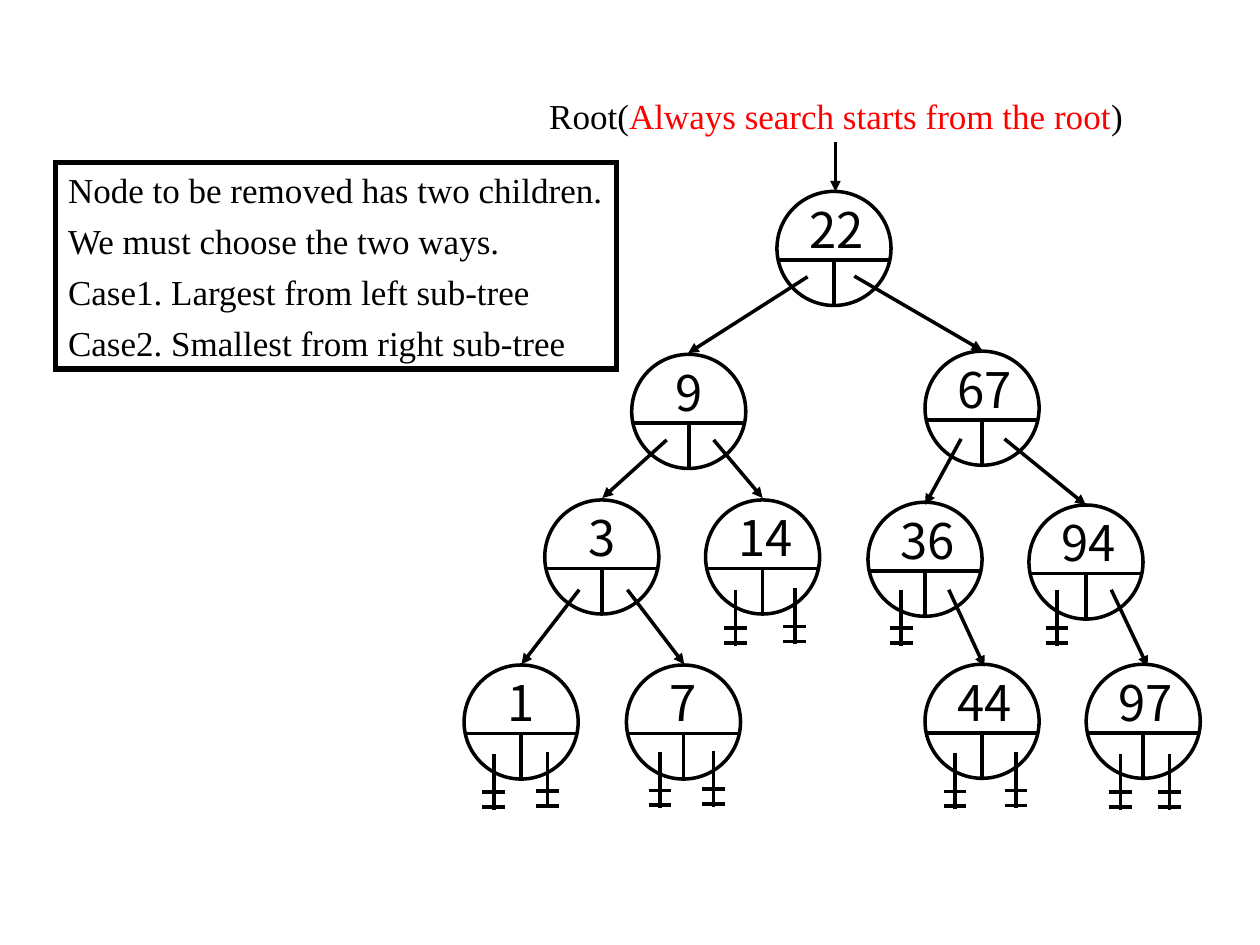
from typing import Any, NamedTuple

from lxml.etree import SubElement
from pptx import Presentation
from pptx.dml.color import RGBColor
from pptx.enum.shapes import MSO_CONNECTOR, MSO_SHAPE
from pptx.enum.text import MSO_ANCHOR, MSO_AUTO_SIZE, PP_ALIGN
from pptx.oxml.ns import qn
from pptx.util import Pt


class Node(NamedTuple):
    label: str
    left: float
    top: float


class Arrow(NamedTuple):
    x: float
    y: float
    tip_x: float
    tip_y: float


class Null(NamedTuple):
    x: float
    top: float


BLACK = "000000"
RED = "FF0000"
SERIF = "Times New Roman"
SANS = "Noto Sans CJK KR"
SIZE = 65.2
BAR = 39.2

RULES = [
    "Node to be removed has two children.",
    "We must choose the two ways.",
    "Case1. Largest from left sub-tree",
    "Case2. Smallest from right sub-tree",
]
NODES = [
    Node("22", 444, 109.4),
    Node(" 9", 361, 202.5),
    Node("67", 528.6, 200.7),
    Node(" 3", 311.3, 285.7),
    Node("14", 403.2, 285.7),
    Node("36", 496, 287),
    Node("94", 588, 288.6),
    Node(" 1", 265.2, 380),
    Node(" 7", 358, 380),
    Node("44", 528.6, 379.6),
    Node("97", 620.7, 379.6),
]
ARROWS = [
    Arrow(477.4, 81.4, 477.4, 109.4),
    Arrow(461.5, 158.2, 393.2, 201.8),
    Arrow(488.2, 157.8, 561.4, 200.4),
    Arrow(381, 251.4, 344.2, 284.6),
    Arrow(407.8, 251.4, 435.8, 284.6),
    Arrow(549.2, 250.8, 528.7, 288.4),
    Arrow(574, 250.8, 620.5, 288.6),
    Arrow(331, 337, 298, 379.6),
    Arrow(358.5, 337, 391, 379.6),
    Arrow(542.2, 337, 562.5, 380.9),
    Arrow(635, 337, 655.8, 380.9),
]
NULLS = [
    Null(282.2, 430.7),
    Null(313, 430),
    Null(377.2, 429.6),
    Null(407.8, 429),
    Null(420.2, 337),
    Null(454.2, 336),
    Null(515, 337),
    Null(604, 337),
    Null(545.8, 430.2),
    Null(580.6, 429.8),
    Null(640.2, 430.7),
    Null(668.2, 430.7),
]


def tint(code: str) -> RGBColor:
    return RGBColor.from_string(code)


def ink(run: Any, size: float, face: str, code: str = BLACK) -> None:
    run.font.size = Pt(size)
    run.font.name = face
    run.font.color.rgb = tint(code)


def fit(frame: Any) -> None:
    frame.word_wrap = False
    frame.auto_size = MSO_AUTO_SIZE.SHAPE_TO_FIT_TEXT
    frame.vertical_anchor = MSO_ANCHOR.TOP


def stroke(shapes: Any, x: float, y: float, end_x: float, end_y: float) -> Any:
    line = shapes.add_connector(
        MSO_CONNECTOR.STRAIGHT, Pt(x), Pt(y), Pt(end_x), Pt(end_y)
    )
    line.line.width = Pt(2)
    line.line.color.rgb = tint(BLACK)
    SubElement(line._element.spPr, qn("a:effectLst"))
    return line


def outline(shapes: Any, kind: Any, box: tuple, width: float) -> Any:
    shape = shapes.add_shape(kind, *map(Pt, box))
    shape.shadow.inherit = False
    shape.fill.background()
    shape.line.width = Pt(width)
    shape.line.color.rgb = tint(BLACK)
    SubElement(shape.line._get_or_add_ln(), qn("a:miter"), lim="800000")
    return shape


def draw_node(shapes: Any, node: Node) -> None:
    parts = shapes.add_group_shape().shapes
    left, top = node.left, node.top
    mid, bar = left + SIZE / 2, top + BAR
    outline(parts, MSO_SHAPE.OVAL, (left, top, SIZE, SIZE), 2)
    stroke(parts, left, bar, left + SIZE, bar)
    stroke(parts, mid, top + SIZE, mid, bar)
    wide = 37.4 if node.label.startswith(" ") else 46
    box = parts.add_textbox(Pt(left + 11.5), Pt(top + 1), Pt(wide), Pt(41))
    fit(box.text_frame)
    box.text_frame.text = node.label
    ink(box.text_frame.paragraphs[0].runs[0], 28, SANS)


def draw_arrow(shapes: Any, arrow: Arrow) -> None:
    line = stroke(shapes, *arrow)
    SubElement(line.line._get_or_add_ln(), qn("a:tailEnd"), type="triangle")


def draw_null(shapes: Any, null: Null) -> None:
    parts = shapes.add_group_shape().shapes
    stroke(parts, null.x, null.top, null.x, null.top + 32)
    for drop in (22, 30.5):
        y = null.top + drop
        stroke(parts, null.x - 6.5, y, null.x + 6.5, y)


def draw_rules(shapes: Any) -> None:
    box = outline(shapes, MSO_SHAPE.RECTANGLE, (31.8, 92.9, 320.4, 118), 3)
    frame = box.text_frame
    fit(frame)
    frame.text = "\n".join(RULES)
    for para in frame.paragraphs:
        para.alignment = PP_ALIGN.LEFT
        para.space_before = Pt(5)
        ink(para.runs[0], 20, SERIF)


def draw_title(shapes: Any) -> None:
    box = shapes.add_textbox(Pt(306.7), Pt(50.4), Pt(342), Pt(31.5))
    fit(box.text_frame)
    para = box.text_frame.paragraphs[0]
    for text, code in (
        ("Root(", BLACK),
        ("Always search starts from the root", RED),
        (")", BLACK),
    ):
        run = para.add_run()
        run.text = text
        ink(run, 20, SERIF, code)


def main() -> None:
    deck = Presentation()
    deck.slide_width, deck.slide_height = Pt(720), Pt(540)
    shapes = deck.slides.add_slide(deck.slide_layouts[6]).shapes
    draw_rules(shapes)
    draw_title(shapes)
    for node in NODES:
        draw_node(shapes, node)
    for arrow in ARROWS:
        draw_arrow(shapes, arrow)
    for null in NULLS:
        draw_null(shapes, null)
    deck.save("out.pptx")


if __name__ == "__main__":
    main()
